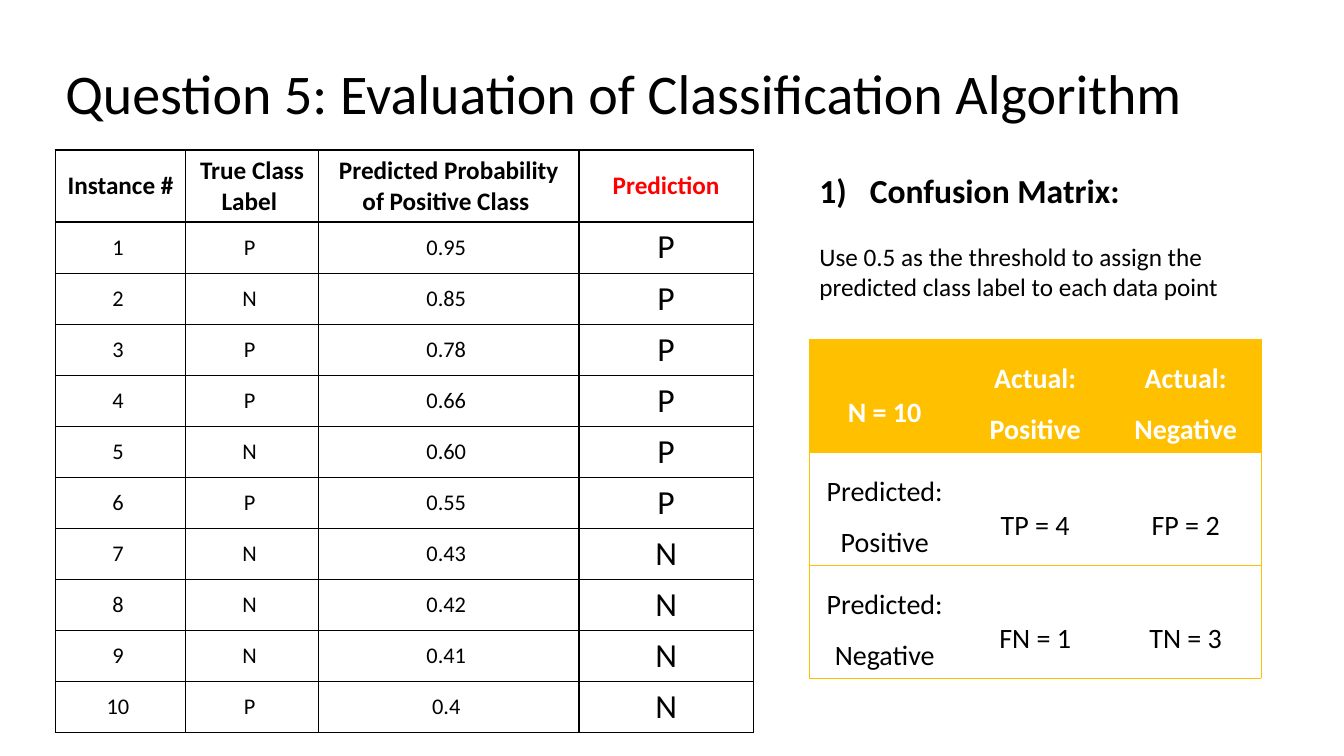
import lxml.etree
import pptx
import pptx.dml.color
import pptx.enum.text
import pptx.oxml.ns
import pptx.util

Pt = pptx.util.Pt
ANCHOR = pptx.enum.text.MSO_ANCHOR
ALIGN = pptx.enum.text.PP_ALIGN
BLACK, WHITE, RED, AMBER = "000000", "FFFFFF", "FF0000", "FFC000"

TRUE_LABELS = "PNPPNPNNNP"
PROBABILITIES = ["0.95", "0.85", "0.78", "0.66", "0.60", "0.55", "0.43", "0.42", "0.41", "0.4"]
THRESHOLD = 0.5


def color(hex_value):
    """Turn a hex string into a color."""
    return pptx.dml.color.RGBColor.from_string(hex_value)


def add_child(parent, tag, **attributes):
    """Append a DrawingML element to its parent."""
    return lxml.etree.SubElement(parent, pptx.oxml.ns.qn(tag), **attributes)


def write(paragraph, wording, size, bold=False, ink=BLACK, align=ALIGN.LEFT, spacing=1.0):
    """Put one formatted run into a paragraph."""
    paragraph.alignment = align
    paragraph.line_spacing = spacing
    run = paragraph.add_run()
    run.text = wording
    run.font.name = "Calibri"
    run.font.size = Pt(size)
    run.font.bold = bold
    run.font.color.rgb = color(ink)


def add_text_area(slide, left, top, width, height, anchor=ANCHOR.TOP):
    """Add a wrapping text box and return its text frame."""
    frame = slide.shapes.add_textbox(Pt(left), Pt(top), Pt(width), Pt(height)).text_frame
    frame.word_wrap = True
    frame.vertical_anchor = anchor
    return frame


def number_paragraph(paragraph, indent):
    """Number a paragraph as 1) with a hanging indent."""
    properties = paragraph._p.get_or_add_pPr()
    properties.set("marL", str(Pt(indent)))
    properties.set("indent", str(-Pt(indent)))
    add_child(properties, "a:buAutoNum", type="arabicParenR")


def add_grid(slide, left, top, widths, heights):
    """Add a plain table with the given column widths and row heights."""
    grid = slide.shapes.add_table(len(heights), len(widths), Pt(left), Pt(top),
                                  Pt(sum(widths)), Pt(sum(heights))).table
    grid.first_row = grid.horz_banding = False
    for column, width in zip(grid.columns, widths):
        column.width = Pt(width)
    for row, height in zip(grid.rows, heights):
        row.height = Pt(height)
    return grid


def fill_cell(cell, lines, sides, edge, edge_width, background=None, anchor=ANCHOR.TOP, **style):
    """Write centred lines into a cell and draw the named borders."""
    properties = cell._tc.get_or_add_tcPr()
    for side in "LRTB":
        border = add_child(properties, "a:ln" + side, w=str(Pt(edge_width)))
        if side in sides:
            add_child(add_child(border, "a:solidFill"), "a:srgbClr", val=edge)
        else:
            add_child(border, "a:noFill")
    if background:
        cell.fill.solid()
        cell.fill.fore_color.rgb = color(background)
    else:
        cell.fill.background()
    cell.vertical_anchor = anchor
    for index, line in enumerate(lines):
        paragraph = cell.text_frame.paragraphs[0] if index == 0 else cell.text_frame.add_paragraph()
        write(paragraph, line, align=ALIGN.CENTER, **style)


def add_predictions(slide):
    """Add the table of instances with their thresholded predictions."""
    grid = add_grid(slide, 39.6, 107.2, [93, 95, 186, 124.5], [51.4] + [36.5] * 10)
    headings = ["Instance # ", "True Class Label ", "Predicted Probability of Positive Class "]
    for column, heading in enumerate(headings):
        fill_cell(grid.cell(0, column), [heading], "LRTB", BLACK, 1,
                  anchor=ANCHOR.MIDDLE, size=18, bold=True)
    fill_cell(grid.cell(0, 3), ["Prediction"], "LRTB", BLACK, 1,
              size=18, bold=True, ink=RED, spacing=1.5)
    for number, (label, probability) in enumerate(zip(TRUE_LABELS, PROBABILITIES), 1):
        for column, value in enumerate([number, label, probability]):
            fill_cell(grid.cell(number, column), [f"{value} "], "LRTB", BLACK, 1,
                      anchor=ANCHOR.MIDDLE, size=16)
        prediction = "P" if float(probability) >= THRESHOLD else "N"
        fill_cell(grid.cell(number, 3), [prediction], "LRTB", BLACK, 1, size=24)


def add_confusion_matrix(slide):
    """Add the confusion matrix with its amber heading row."""
    grid = add_grid(slide, 578.2, 242.6, [107.5] * 3, [80.6] * 3)
    matrix = [
        [["N = 10"], ["Actual:", "Positive"], ["Actual:", "Negative"]],
        [["Predicted: Positive"], ["TP = 4"], ["FP = 2"]],
        [["Predicted: Negative"], ["FN = 1"], ["TN = 3"]],
    ]
    outer_sides = ["LTB", "TB", "RTB"]
    for row, entries in enumerate(matrix):
        heading = row == 0
        for column, lines in enumerate(entries):
            two_lines = heading != (column == 0)
            fill_cell(grid.cell(row, column), lines, outer_sides[column], AMBER, 0.5,
                      background=AMBER if heading else None, size=20, bold=heading,
                      ink=WHITE if heading else BLACK, spacing=1.5 if two_lines else 2.5)


def main():
    """Build the slide and save it."""
    deck = pptx.Presentation()
    deck.slide_width, deck.slide_height = Pt(960), Pt(540)
    slide = deck.slides.add_slide(deck.slide_layouts[6])

    title = add_text_area(slide, 39.6, 16.6, 828, 104.4, ANCHOR.MIDDLE)
    write(title.paragraphs[0], "Question 5: Evaluation of Classification Algorithm", 40, spacing=0.9)

    add_predictions(slide)
    add_confusion_matrix(slide)

    task = add_text_area(slide, 578.2, 118, 322.6, 101.5)
    write(task.paragraphs[0], "Confusion Matrix: ", 24, bold=True)
    number_paragraph(task.paragraphs[0], 36)
    instruction = task.add_paragraph()
    instruction.space_before = Pt(22)
    write(instruction, "Use 0.5 as the threshold to assign the predicted class label "
                       "to each data point ", 18)

    deck.save("out.pptx")


main()
